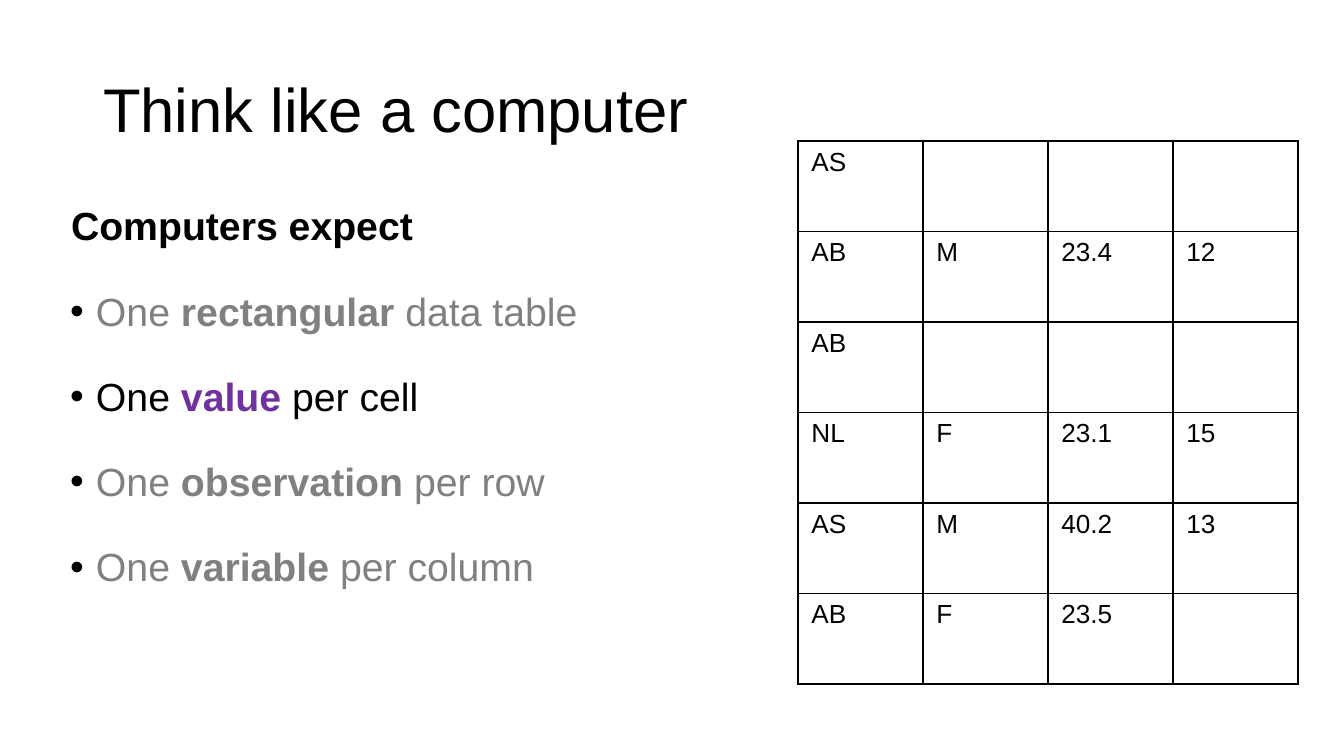
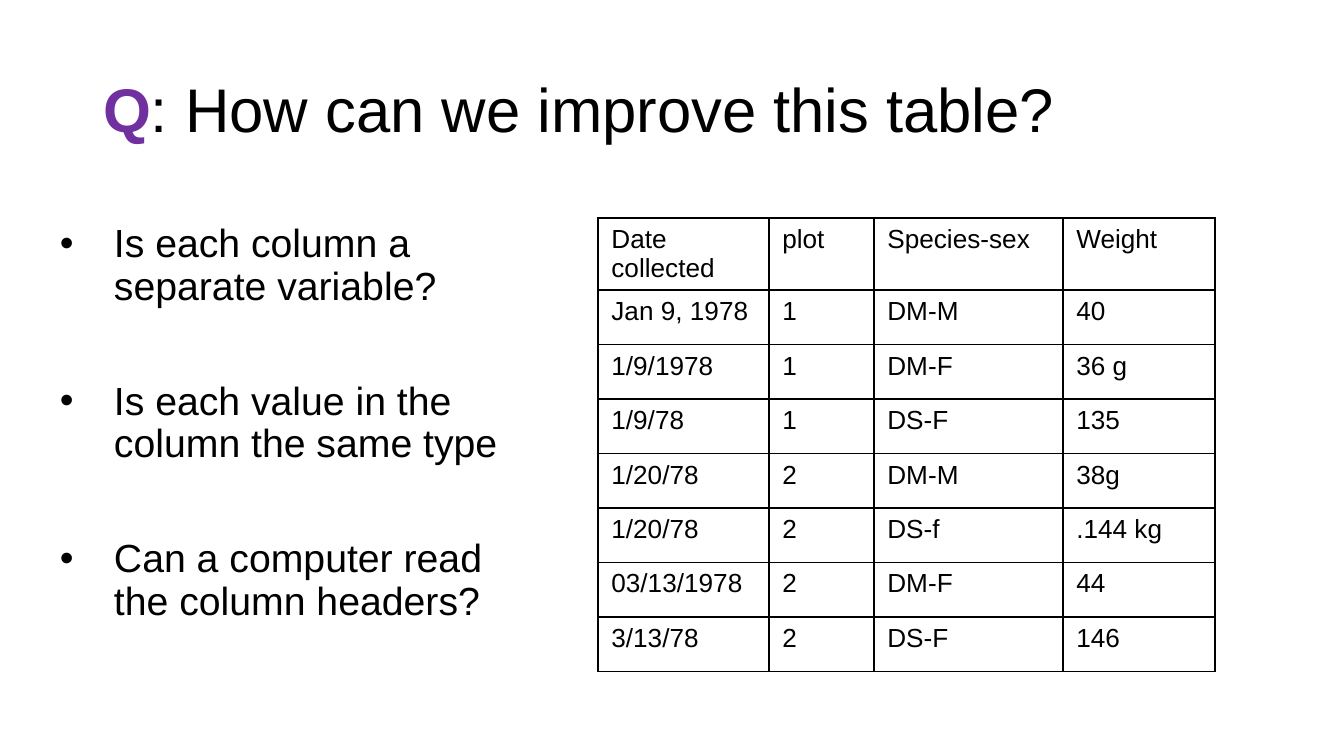
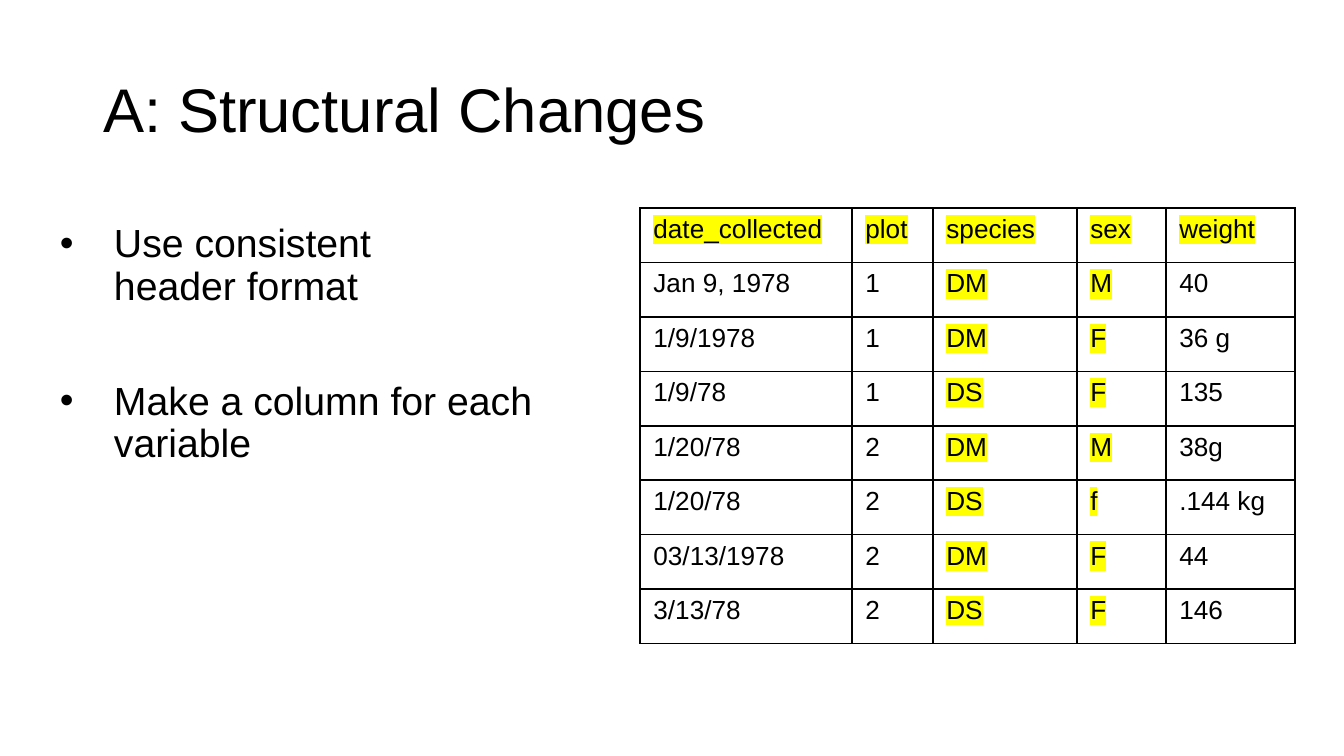
from dataclasses import dataclass

from lxml import etree
from pptx import Presentation
from pptx.dml.color import RGBColor
from pptx.enum.text import MSO_ANCHOR, MSO_AUTO_SIZE, PP_ALIGN
from pptx.oxml.ns import qn
from pptx.util import Pt

LEFT = PP_ALIGN.LEFT
TOP = MSO_ANCHOR.TOP
MIDDLE = MSO_ANCHOR.MIDDLE
NO_AUTOFIT = MSO_AUTO_SIZE.NONE
TITLE_ONLY = 5
PX_PER_INCH = 134.4
EMU_PER_PX = 914400 / PX_PER_INCH
NO_BREAK = chr(160)


def px(length):
    return round(length * EMU_PER_PX)


@dataclass(frozen=True)
class Theme:
    font: str = "Arial"
    ink: str = "000000"
    muted: str = "808080"
    accent: str = "7030A0"
    marker: str = "FFFF00"
    title_size: int = 33
    body_size: int = 21
    table_size: int = 14
    border_width: int = 1
    line_spacing: float = 0.9


THEME = Theme()


@dataclass(frozen=True)
class Span:
    text: str
    color: str = THEME.ink
    bold: bool = False


class DeckBuilder:
    def __init__(self, theme):
        self.theme = theme
        self.deck = Presentation()
        self.deck.slide_width = px(1344)
        self.deck.slide_height = px(756)
        self.slide = None

    def add_slide(self, *title_spans):
        self.slide = self.deck.slides.add_slide(self.deck.slide_layouts[TITLE_ONLY])
        title = self.slide.shapes.title
        title.left, title.top, title.width, title.height = map(px, (93, 40, 1159, 146))
        self.set_frame(title.text_frame, MIDDLE)
        self.add_spans(title.text_frame.paragraphs[0], title_spans, self.theme.title_size)

    def set_frame(self, frame, anchor):
        frame.word_wrap = True
        frame.auto_size = NO_AUTOFIT
        frame.vertical_anchor = anchor
        frame.margin_left = frame.margin_right = px(10)
        frame.margin_top = frame.margin_bottom = px(5)

    def add_spans(self, paragraph, spans, size):
        paragraph.alignment = LEFT
        paragraph.line_spacing = self.theme.line_spacing
        for span in spans:
            run = paragraph.add_run()
            run.text = span.text
            self.style_run(run, size, span.color, span.bold)

    def style_run(self, run, size, color, bold=False):
        run.font.name = self.theme.font
        run.font.size = Pt(size)
        run.font.bold = bold
        run.font.color.rgb = RGBColor.from_string(color)

    def indent(self, paragraph, margin, hanging):
        properties = paragraph._p.get_or_add_pPr()
        properties.set("marL", str(px(margin)))
        properties.set("indent", str(-px(hanging)))
        if hanging:
            color = etree.SubElement(properties, qn("a:buClr"))
            etree.SubElement(color, qn("a:srgbClr"), val=self.theme.ink)
            etree.SubElement(properties, qn("a:buFont"), typeface=self.theme.font)
            etree.SubElement(properties, qn("a:buChar"), char="•")

    def add_list(self, bounds, items, margin, hanging, gap, heading=None):
        box = self.slide.shapes.add_textbox(*map(px, bounds))
        frame = box.text_frame
        self.set_frame(frame, TOP)
        lines = [(item, margin, hanging) for item in items]
        if heading:
            lines.insert(0, ([heading], 1, 0))
        for index, (spans, line_margin, line_hanging) in enumerate(lines):
            paragraph = frame.add_paragraph() if index else frame.paragraphs[0]
            self.indent(paragraph, line_margin, line_hanging)
            self.add_spans(paragraph, spans, self.theme.body_size)
            if index:
                paragraph.space_before = Pt(gap)

    def add_questions(self, *texts):
        items = [[Span(text)] for text in texts]
        self.add_list((37, 219, 542, 352), items, margin=67, hanging=54, gap=39)

    def add_table(self, left, top, column_widths, height, rows, marked_columns=()):
        frame = self.slide.shapes.add_table(
            len(rows), len(column_widths),
            px(left), px(top), px(sum(column_widths)), px(height))
        table = frame.table
        table.first_row = table.horz_banding = False
        for column, width in zip(table.columns, column_widths):
            column.width = px(width)
        for row_index, values in enumerate(rows):
            for column_index, value in enumerate(values):
                cell = table.cell(row_index, column_index)
                self.add_borders(cell)
                cell.fill.background()
                cell.text_frame.text = value
                marked = marked_columns and (row_index == 0 or column_index in marked_columns)
                for run in cell.text_frame.paragraphs[0].runs:
                    self.style_run(run, self.theme.table_size, self.theme.ink)
                    if marked:
                        self.highlight(run)

    def add_borders(self, cell):
        properties = cell._tc.get_or_add_tcPr()
        for side in ("L", "R", "T", "B"):
            line = etree.SubElement(
                properties, qn(f"a:ln{side}"), w=str(int(Pt(self.theme.border_width))))
            fill = etree.SubElement(line, qn("a:solidFill"))
            etree.SubElement(fill, qn("a:srgbClr"), val=self.theme.ink)

    def highlight(self, run):
        marker = etree.Element(qn("a:highlight"))
        etree.SubElement(marker, qn("a:srgbClr"), val=self.theme.marker)
        run._r.rPr.find(qn("a:latin")).addprevious(marker)


PATIENT_ROWS = [
    ("AS", "", "", ""),
    ("AB", "M", "23.4", "12"),
    ("AB", "", "", ""),
    ("NL", "F", "23.1", "15"),
    ("AS", "M", "40.2", "13"),
    ("AB", "F", "23.5", ""),
]

SURVEY_ROWS = [
    ("Jan 9, 1978", "1", "DM-M", "40"),
    ("1/9/1978", "1", "DM-F", "36 g"),
    ("1/9/78", "1", "DS-F", "135"),
    ("1/20/78", "2", "DM-M", "38g"),
    ("1/20/78", "2", "DS-f", ".144 kg"),
    ("03/13/1978", "2", "DM-F", "44"),
    ("3/13/78", "2", "DS-F", "146"),
]

EXPECTATIONS = [
    ("rectangular", " data table"),
    ("value", " per cell"),
    ("observation", " per row"),
    ("variable", " per column"),
]


def expectation_spans(keyword, ending, focus):
    focused = keyword == focus
    color = THEME.ink if focused else THEME.muted
    keyword_color = THEME.accent if focused else THEME.muted
    return [Span("One ", color), Span(keyword, keyword_color, True), Span(ending, color)]


def main():
    builder = DeckBuilder(THEME)

    builder.add_slide(Span("Think like a computer"))
    expectations = [expectation_spans(*words, focus="value") for words in EXPECTATIONS]
    builder.add_list((60, 202, 649, 480), expectations, margin=26, hanging=26, gap=23,
                     heading=Span("Computers expect", bold=True))
    builder.add_table(798, 141, [125] * 4, 543, PATIENT_ROWS)

    builder.add_slide(Span("Q", THEME.accent, True), Span(": How can we improve this table?"))
    builder.add_questions(f"Is each column a separate{NO_BREAK}variable?",
                          "Is each value in the column the same type",
                          f"Can a computer read the{NO_BREAK}column headers?")
    header = ("Date collected", "plot", "Species-sex", "Weight")
    builder.add_table(598, 218, [171, 105, 189, 152], 436, [header, *SURVEY_ROWS])

    builder.add_slide(Span("A: Structural Changes"))
    builder.add_questions(f"Use consistent header{NO_BREAK}format",
                          "Make a column for each variable")
    tidy_header = ("date_collected", "plot", "species", "sex", "weight")
    tidy_rows = [(date, plot, *code.split("-"), weight)
                 for date, plot, code, weight in SURVEY_ROWS]
    builder.add_table(640, 208, [212, 81, 144, 89, 129], 436, [tidy_header, *tidy_rows],
                      marked_columns=(2, 3))

    builder.deck.save("out.pptx")


if __name__ == "__main__":
    main()
